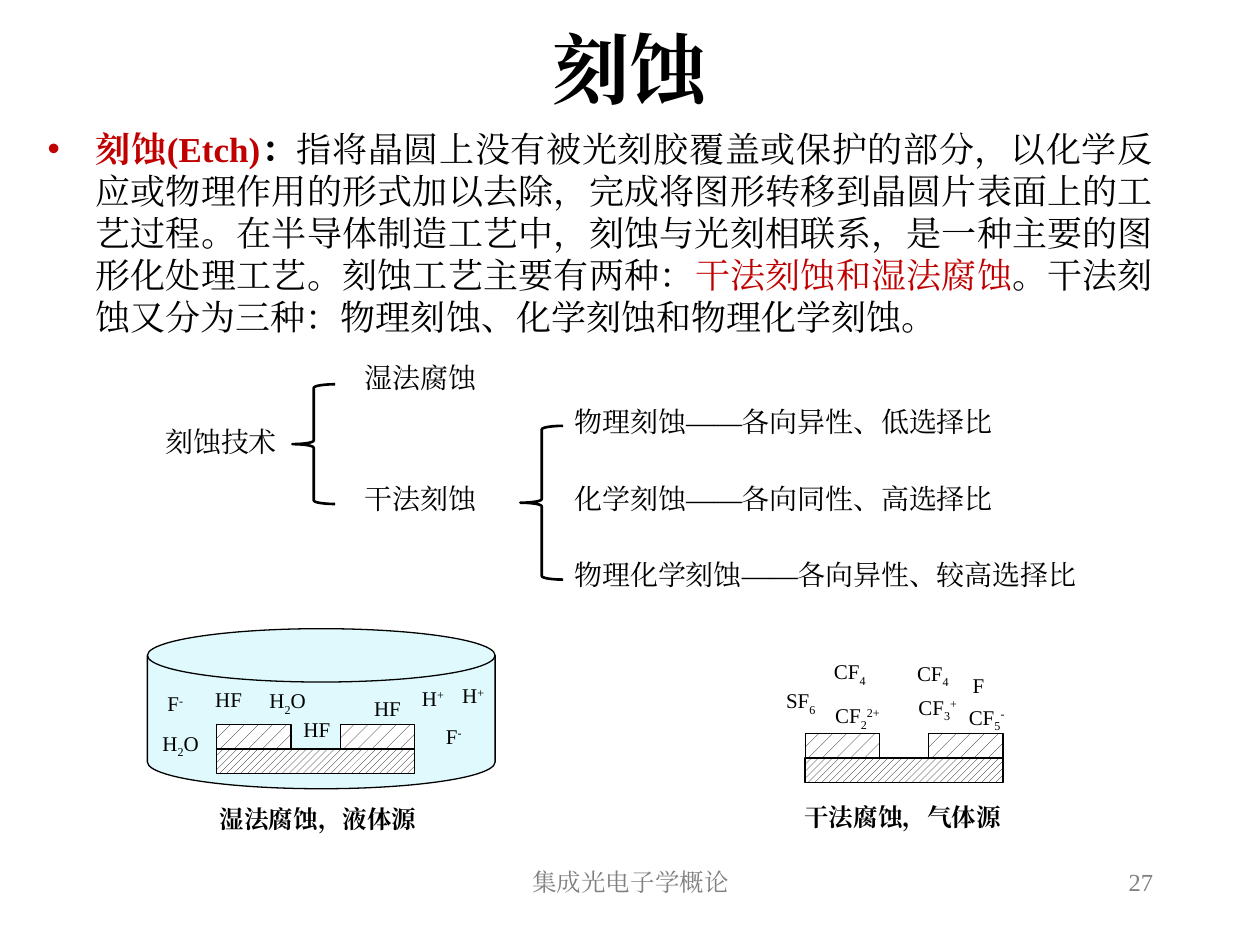
from dataclasses import dataclass
from typing import NamedTuple, Optional

import pptx
import pptx.dml.color
import pptx.enum.dml
import pptx.enum.lang
import pptx.enum.shapes
import pptx.enum.text
import pptx.oxml.ns
import pptx.util
from lxml import etree

SHAPE = pptx.enum.shapes.MSO_SHAPE
PATTERN = pptx.enum.dml.MSO_PATTERN
ALIGN = pptx.enum.text.PP_ALIGN
ANCHOR = pptx.enum.text.MSO_ANCHOR
Pt = pptx.util.Pt
qn = pptx.oxml.ns.qn

COLUMNS = 100  # the slide is a grid of 100 columns by 75 square rows


@dataclass(frozen=True)
class Theme:
    font: str = "Times New Roman"
    ink: str = "000000"
    accent: str = "C00000"
    muted: str = "808080"
    liquid: str = "DFF9FD"
    paper: str = "FFFFFF"
    title: int = 44
    body: int = 20
    branch: int = 16
    caption: int = 14
    formula: int = 12
    thin: float = 0.75
    thick: float = 1.5


class Box(NamedTuple):
    """Left, top, width and height in grid cells."""
    x: float
    y: float
    w: float
    h: float


class Run(NamedTuple):
    text: str
    color: Optional[str] = None
    bold: Optional[bool] = None
    base: int = 0  # percent above (+) or below (-) the baseline


class Label(NamedTuple):
    text: str
    box: Box


class Formula(NamedTuple):
    runs: tuple[Run, ...]
    x: float
    y: float
    w: float


T = Theme()
prs = pptx.Presentation()
prs.slide_width, prs.slide_height = pptx.util.Inches(10), pptx.util.Inches(7.5)
slide = prs.slides.add_slide(prs.slide_layouts[5])


def cells(box: Box) -> list[int]:
    return [round(v * prs.slide_width / COLUMNS) for v in box]


def rgb(color: str) -> pptx.dml.color.RGBColor:
    return pptx.dml.color.RGBColor.from_string(color)


def write(content, box: Box, *, sp=None, size=T.branch, color=T.ink, bold=False,
          align=ALIGN.LEFT, anchor=ANCHOR.TOP, bullet="", indent=0.0, spacing=None):
    """Write a string or a series of runs as one paragraph, in sp or a new text box."""
    sp = sp or slide.shapes.add_textbox(0, 0, 0, 0)
    sp.left, sp.top, sp.width, sp.height = cells(box)
    tf = sp.text_frame
    tf.word_wrap, tf.vertical_anchor = True, anchor
    p = tf.paragraphs[0]
    if bullet:
        pPr = p._p.get_or_add_pPr()
        hang = round(indent * prs.slide_width / COLUMNS)
        pPr.set("marL", str(hang))
        pPr.set("indent", str(-hang))
        etree.SubElement(pPr, qn("a:buFont"), typeface="Arial")
        etree.SubElement(pPr, qn("a:buChar"), char=bullet)
    p.alignment, p.line_spacing = align, spacing
    for item in [Run(content)] if isinstance(content, str) else content:
        r = p.add_run()
        r.text = item.text
        r.font.name, r.font.size = T.font, Pt(size)
        r.font.bold = bold if item.bold is None else item.bold
        r.font.color.rgb = rgb(item.color or color)
        r.font.language_id = pptx.enum.lang.MSO_LANGUAGE_ID.SIMPLIFIED_CHINESE
        rPr = r._r.get_or_add_rPr()
        etree.SubElement(rPr, qn("a:ea"), typeface=T.font)
        if item.base:
            rPr.set("baseline", str(item.base * 1000))


def draw(kind, box: Box, *, fill=None, pattern=None, line=T.thin):
    sp = slide.shapes.add_shape(kind, *cells(box))
    sp.shadow.inherit = False
    sp.line.color.rgb, sp.line.width = rgb(T.ink), Pt(line)
    if pattern is not None:
        sp.fill.patterned()
        sp.fill.pattern = pattern
        sp.fill.fore_color.rgb, sp.fill.back_color.rgb = rgb(T.ink), rgb(T.paper)
    elif fill:
        sp.fill.solid()
        sp.fill.fore_color.rgb = rgb(fill)
    else:
        sp.fill.background()


def draw_wafer(x: float, y: float) -> None:
    """A substrate under two pieces of mask with an open window between them."""
    width, mask, layer = 15.7, 5.9, 1.95
    draw(SHAPE.RECTANGLE, Box(x, y + layer, width, layer), pattern=PATTERN.WIDE_UPWARD_DIAGONAL)
    for left in (x, x + width - mask):
        draw(SHAPE.RECTANGLE, Box(left, y, mask, layer), pattern=PATTERN.PERCENT_10)


def sub(text: str) -> Run:
    return Run(text, base=-25)


def sup(text: str) -> Run:
    return Run(text, base=30)


HF = (Run("HF"),)
WATER = (Run("H"), sub("2"), Run("O"))
FLUORIDE = (Run("F"), sup("-"))
PROTON = (Run("H"), sup("+"))
CF4 = (Run("CF"), sub("4"))

DEFINITION = (
    Run("刻蚀(Etch)", T.accent, True),
    Run("：", bold=True),
    Run("指将晶圆上没有被光刻胶覆盖或保护的部分，以化学反应或物理作用的形式加以去除，"
        "完成将图形转移到晶圆片表面上的工艺过程。在半导体制造工艺中，刻蚀与光刻相联系，"
        "是一种主要的图形化处理工艺。刻蚀工艺主要有两种："),
    Run("干法刻蚀和湿法腐蚀", T.accent),
    Run("。干法刻蚀又分为三种：物理刻蚀、化学刻蚀和物理化学刻蚀。"),
)
METHODS = (
    Label("刻蚀技术", Box(9.1, 33.2, 16.9, 3.7)),
    Label("湿法腐蚀", Box(24.9, 28.1, 16.9, 3.7)),
    Label("干法刻蚀", Box(24.9, 37.7, 16.9, 3.7)),
)
DRY_TYPES = ("物理刻蚀——各向异性、低选择比", "化学刻蚀——各向同性、高选择比",
             "物理化学刻蚀——各向异性、较高选择比")
BRACES = (Box(23.2, 30.5, 3.4, 9.5), Box(41.3, 33.8, 3.4, 12.2))
CAPTIONS = (
    Label("湿法腐蚀，液体源", Box(9.9, 63.3, 30.7, 3.4)),
    Label("干法腐蚀，气体源", Box(56.3, 63.2, 30.7, 3.4)),
)
FORMULAS = (
    Formula(FLUORIDE, 34.4, 56.9, 3.9), Formula(FLUORIDE, 12.3, 54.3, 3.9),
    Formula(HF, 23.1, 56.4, 4.2), Formula(HF, 28.7, 54.7, 4.2), Formula(HF, 16.1, 54, 4.2),
    Formula(WATER, 11.9, 57.5, 5.5), Formula(WATER, 20.4, 54.1, 5.5),
    Formula(PROTON, 35.7, 53.7, 5.5), Formula(PROTON, 32.5, 53.9, 5.5),
    Formula((Run("CF"), sub("5"), sup("-")), 75.9, 55.4, 6.1),
    Formula(CF4, 65.2, 51.8, 5.7), Formula(CF4, 71.8, 51.9, 5.7),
    Formula((Run("SF"), sub("6")), 61.4, 54.1, 5.5),
    Formula((Run("CF"), sub("2"), sup("2+")), 65.3, 55.3, 7.9),
    Formula((Run("F"),), 76.2, 52.9, 5.5),
    Formula((Run("CF"), sub("3"), sup("+")), 71.9, 54.6, 5.5),
)

write("刻蚀", Box(7.5, 1.6, 85, 7.6), sp=slide.shapes.title, size=T.title, bold=True,
      align=ALIGN.CENTER, anchor=ANCHOR.MIDDLE)
write(DEFINITION, Box(2.8, 9.6, 89.7, 45.7), size=T.body, align=ALIGN.JUSTIFY,
      bullet="•", indent=3.8, spacing=Pt(24))
write("集成光电子学概论", Box(34.2, 68.3, 31.7, 5), size=T.caption, color=T.muted,
      align=ALIGN.CENTER)
write("27", Box(71.7, 68.3, 20.8, 5), size=T.caption, color=T.muted, align=ALIGN.RIGHT)

for brace in BRACES:
    draw(SHAPE.LEFT_BRACE, brace, line=T.thick)
for method in METHODS:
    write(method.text, method.box, align=ALIGN.CENTER)
for row, text in enumerate(DRY_TYPES):
    write(text, Box(44.6, 31.6 + 6.1 * row, 44.2, 3.7))

draw(SHAPE.FLOWCHART_MAGNETIC_DISK, Box(11.7, 49.9, 27.6, 12.7), fill=T.liquid)
draw_wafer(17.2, 57.5)
draw_wafer(63.9, 58.2)
for formula in FORMULAS:
    write(formula.runs, Box(formula.x, formula.y, formula.w, 3), size=T.formula)
for caption in CAPTIONS:
    write(caption.text, caption.box, size=T.caption, bold=True, align=ALIGN.CENTER)

prs.save("out.pptx")
